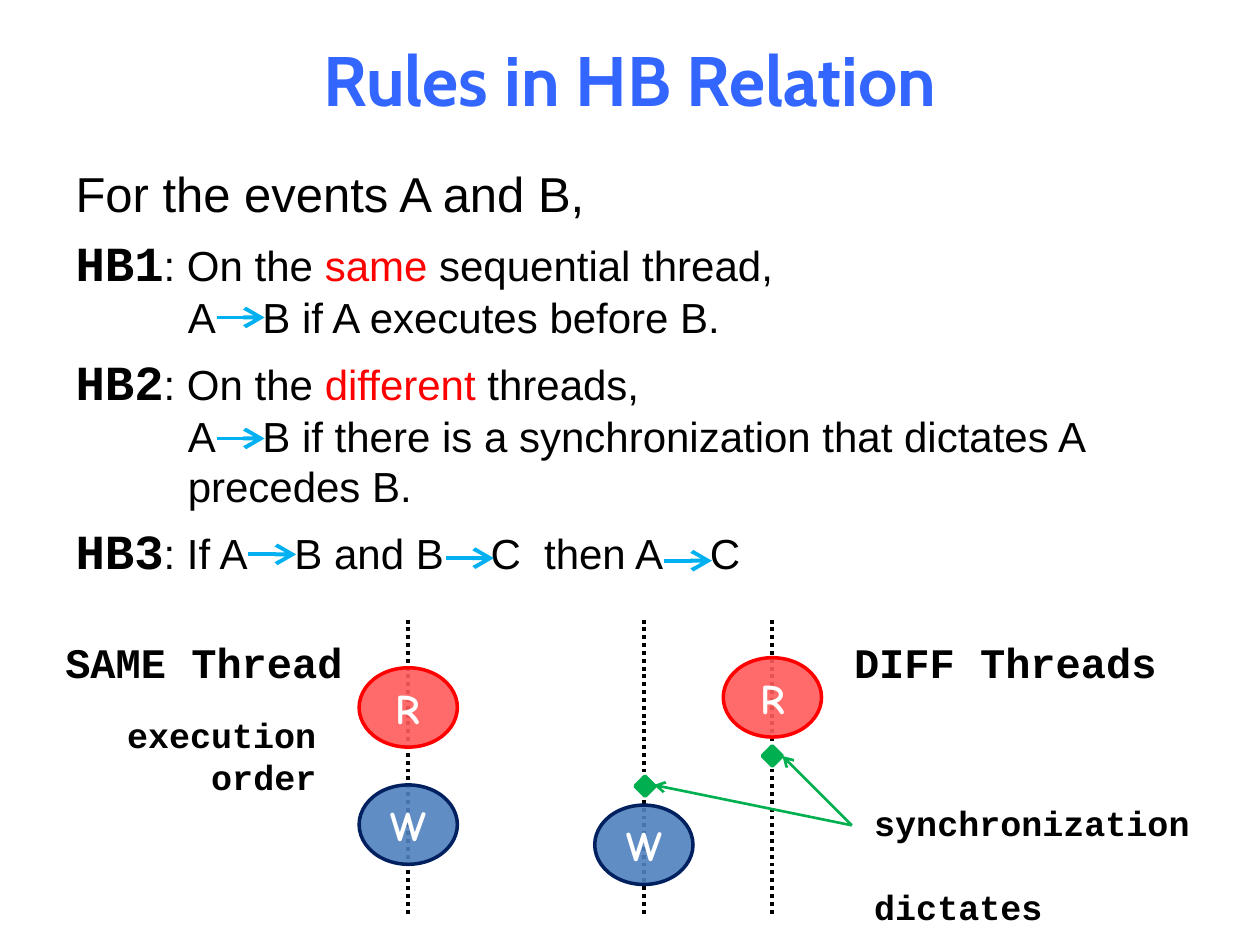
"""Build the slide on the rules of the happens-before relation."""
from pptx import Presentation
from pptx.dml.color import RGBColor
from pptx.enum.dml import MSO_LINE
from pptx.enum.shapes import MSO_CONNECTOR, MSO_SHAPE
from pptx.enum.text import MSO_ANCHOR, MSO_AUTO_SIZE, PP_ALIGN
from pptx.oxml.ns import qn
from pptx.util import Inches, Pt
from lxml.etree import SubElement

BLACK = RGBColor(0, 0, 0)
WHITE = RGBColor(255, 255, 255)
TITLE = RGBColor(0x33, 0x66, 0xFF)
RED = RGBColor(255, 0, 0)
PINK = RGBColor(0xFF, 0x5B, 0x5B)
BLUE = RGBColor(0x4F, 0x81, 0xBD)
NAVY = RGBColor(0, 0x20, 0x60)
SKY = RGBColor(0, 0xB0, 0xF0)
GREEN = RGBColor(0, 0xB0, 0x50)

HEAD = dict(name="Cabin", size=Pt(40), bold=True, color=TITLE)
LEAD = dict(name="Arial", size=Pt(28), bold=False, color=BLACK)
RULE = dict(name="Courier New", size=Pt(28), bold=True, color=BLACK)
TEXT = dict(LEAD, size=Pt(24))
MARK = dict(TEXT, color=RED)
WIDE = dict(TEXT, spread=20)
PAIR = dict(TEXT, spread=6.67)
BIG = dict(RULE, size=Pt(24))
SMALL = dict(RULE, size=Pt(20))
NODE = dict(name="Comic Neue", size=Pt(24), bold=True, color=WHITE)

GAP = (" ", WIDE)
RULES = [
    (0.38, [("For the events A and B,", LEAD)]),
    (0.89, [("HB1", RULE), (": On the ", TEXT), ("same", MARK),
            (" sequential thread,\nA", TEXT), GAP,
            ("B if A executes before B.", TEXT)]),
    (0.89, [("HB2", RULE), (": On the ", TEXT), ("different", MARK),
            (" threads,\nA", TEXT), GAP,
            ("B if there is a synchronization that dictates A precedes B.", TEXT)]),
    (0.38, [("HB3", RULE), (": If A", TEXT), GAP, ("B and B", TEXT), GAP,
            ("C", TEXT), (" ", PAIR), ("then A", TEXT), GAP, ("C", TEXT)]),
]
LABELS = [
    (0.42, 5, 2.74, 0.5, ["SAME Thread"], BIG, PP_ALIGN.LEFT, 0),
    (6.68, 5, 2.73, 0.5, ["DIFF Threads"], BIG, PP_ALIGN.LEFT, 0),
    (6.84, 6.31, 2.73, 0.77, ["synchronization", "dictates"], SMALL, PP_ALIGN.LEFT, 24),
    (0.58, 5.61, 2.03, 0.77, ["execution", "order"], SMALL, PP_ALIGN.RIGHT, 0),
]
THREADS = [3.24, 5.11, 6.13]
NODES = [("W", 3.24, 6.23), ("R", 3.24, 5.3), ("W", 5.11, 6.39), ("R", 6.13, 5.22)]
KINDS = {"W": (BLUE, NAVY), "R": (PINK, RED)}
SYNCS = [(5.12, 6.24), (6.13, 6)]
HOPS = [(1.72, 2.52), (1.72, 3.48), (1.97, 4.4), (3.54, 4.43), (5.27, 4.45)]
TIPS = [(6.21, 6), (5.19, 6.23)]


def style(run, form):
    for key, val in form.items():
        if key == "color":
            run.font.color.rgb = val
        elif key == "spread":
            run._r.get_or_add_rPr().set("spc", str(round(val * 100)))
        else:
            setattr(run.font, key, val)


def write(para, text, form):
    for num, part in enumerate(text.split("\n")):
        if num:
            para.add_line_break()
        run = para.add_run()
        run.text = part
        style(run, form)


def place(shape, *spot):
    for key, val in zip(("left", "top", "width", "height"), spot):
        setattr(shape, key, Inches(val))


def indent(para, size):
    props = para._p.get_or_add_pPr()
    props.set("marL", str(Inches(size)))
    props.set("indent", str(-Inches(size)))
    SubElement(props, qn("a:buNone"))


def link(slide, start, end, color, width, head=None):
    line = slide.shapes.add_connector(
        MSO_CONNECTOR.STRAIGHT, *map(Inches, (*start, *end)))
    line.line.color.rgb = color
    line.line.width = Pt(width)
    if head:
        SubElement(line.line._get_or_add_ln(), qn("a:tailEnd"),
                   type="arrow", w=head, len=head)
    else:
        line.line.dash_style = MSO_LINE.ROUND_DOT
    SubElement(line._element.spPr, qn("a:effectLst"))


def solid(slide, kind, mid, top, wide, high, fill, edge):
    shape = slide.shapes.add_shape(
        kind, *map(Inches, (mid - wide / 2, top, wide, high)))
    shape.shadow.inherit = False
    shape.fill.solid()
    shape.fill.fore_color.rgb = fill
    shape.line.color.rgb = edge
    shape.line.width = Pt(2)
    return shape


def node(slide, name, mid, top):
    shape = solid(slide, MSO_SHAPE.OVAL, mid, top, 0.78, 0.63, *KINDS[name])
    tint = shape._element.spPr.find(qn("a:solidFill"))[0]
    SubElement(tint, qn("a:alpha"), val="90000")
    frame = shape.text_frame
    frame.vertical_anchor = MSO_ANCHOR.MIDDLE
    frame.paragraphs[0].alignment = PP_ALIGN.CENTER
    write(frame.paragraphs[0], name, NODE)


def label(slide, left, top, wide, high, lines, form, align, gap):
    frame = slide.shapes.add_textbox(
        *map(Inches, (left, top, wide, high))).text_frame
    frame.word_wrap = True
    for num, text in enumerate(lines):
        para = frame.add_paragraph() if num else frame.paragraphs[0]
        para.alignment = align
        para.space_before = Pt(gap if num else 0)
        write(para, text, form)


def main():
    deck = Presentation()
    deck.slide_width, deck.slide_height = Inches(10), Inches(7.5)
    slide = deck.slides.add_slide(deck.slide_layouts[1])
    title, body = slide.placeholders
    place(title, 0, 0, 10, 1.25)
    title.text_frame.vertical_anchor = MSO_ANCHOR.MIDDLE
    title.text_frame.paragraphs[0].alignment = PP_ALIGN.CENTER
    write(title.text_frame.paragraphs[0], "Rules in HB Relation", HEAD)

    place(body, 0.5, 1.25, 9.5, 4.95)
    frame = body.text_frame
    frame.auto_size = MSO_AUTO_SIZE.NONE
    for num, (size, runs) in enumerate(RULES):
        para = frame.add_paragraph() if num else frame.paragraphs[0]
        indent(para, size)
        para.space_before = Pt(5.6 if num else 0)
        for text, form in runs:
            write(para, text, form)

    for mid in THREADS:
        link(slide, (mid, 7.25), (mid, 4.91), BLACK, 2.25)
    for item in NODES:
        node(slide, *item)
    for mid, row in SYNCS:
        solid(slide, MSO_SHAPE.DIAMOND, mid, row - 0.08, 0.16, 0.16, GREEN, GREEN)
    for item in LABELS:
        label(slide, *item)
    for left, row in HOPS:
        link(slide, (left, row), (left + 0.38, row), SKY, 2.25, "lg")
    for tip in TIPS:
        link(slide, (6.76, 6.55), tip, GREEN, 1.5, "med")
    deck.save("out.pptx")


if __name__ == "__main__":
    main()
